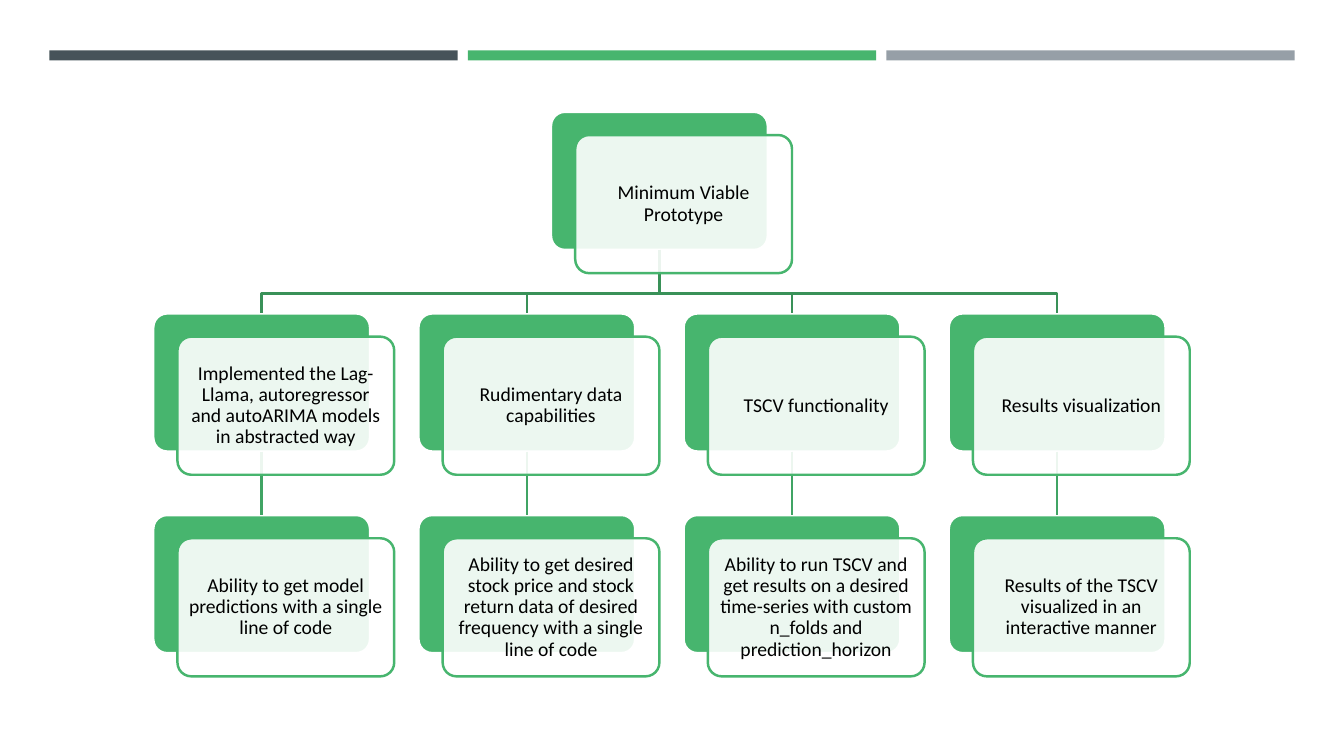
from pptx import Presentation, util as u
from pptx.dml.color import RGBColor
from pptx.enum import shapes, text
from pptx.oxml.ns import qn
from lxml import etree

GREEN, TRUNK, BRANCH = "47B56E", "399158", "40A464"
CARD_W, CARD_H = 2.15, 1.37
STEP_X, STEP_Y = 2.63, 2.0
FRONT_DX, FRONT_DY = 0.24, 0.23
BEND = 0.43

ROOT = "Minimum Viable Prototype"
FEATURES = [
    ("Implemented the Lag-Llama, autoregressor and autoARIMA models in abstracted way",
     "Ability to get model predictions with a single line of code"),
    ("Rudimentary data capabilities",
     "Ability to get desired stock price and stock return data of desired frequency "
     "with a single line of code"),
    ("TSCV functionality",
     "Ability to run TSCV and get results on a desired time-series with custom "
     "n_folds and prediction_horizon"),
    ("Results visualization",
     "Results of the TSCV visualized in an interactive manner"),
]


def color(value):
    return RGBColor.from_string(value)


def set_line(sp, value):
    sp.line.color.rgb = color(value)
    sp.line.width = u.Pt(1.75)


def add_box(s, kind, x, y, w, h, fill):
    sp = s.shapes.add_shape(kind, *map(u.Inches, (x, y, w, h)))
    sp.shadow.inherit = False
    sp.fill.solid()
    sp.fill.fore_color.rgb = color(fill)
    sp.line.fill.background()
    return sp


def add_card(s, x, y, fill, line):
    sp = add_box(s, shapes.MSO_SHAPE.ROUNDED_RECTANGLE, x, y, CARD_W, CARD_H, fill)
    sp.adjustments[0] = 0.1
    set_line(sp, line)
    return sp


def add_front_card(s, x, y, label):
    sp = add_card(s, x + FRONT_DX, y + FRONT_DY, "FFFFFF", GREEN)
    rgb = sp.fill._xPr.find(qn("a:solidFill"))[0]
    etree.SubElement(rgb, qn("a:alpha"), val="90000")
    tf = sp.text_frame
    tf.word_wrap = True
    tf.vertical_anchor = text.MSO_ANCHOR.MIDDLE
    for side in ("left", "top", "right", "bottom"):
        setattr(tf, f"margin_{side}", u.Inches(0.06))
    p = tf.paragraphs[0]
    p.alignment = text.PP_ALIGN.CENTER
    p.line_spacing = 0.9
    r = p.add_run()
    r.text = label
    for name, value in {"name": "Calibri", "size": u.Pt(14)}.items():
        setattr(r.font, name, value)
    r.font.color.rgb = color("000000")


def add_trunk(s, parent, child):
    """Elbow from the bottom of the parent to the top of the child."""
    x1, y1 = parent.left + parent.width // 2, parent.top + parent.height
    x2, y2 = child.left + child.width // 2, child.top
    bend = y1 + u.Inches(BEND)
    path_builder = s.shapes.build_freeform(x1, y1)
    path_builder.add_line_segments([(x1, bend), (x2, bend), (x2, y2)], close=False)
    sp = path_builder.convert_to_shape()
    sp.shadow.inherit = False
    sp.fill.background()
    set_line(sp, TRUNK)


def add_branch(s, parent, child):
    c = s.shapes.add_connector(shapes.MSO_CONNECTOR.STRAIGHT, 0, 0, 0, 0)
    c.begin_connect(parent, 2)
    c.end_connect(child, 0)
    set_line(c, BRANCH)
    etree.SubElement(c._element.spPr, qn("a:effectLst"))


def header_bars(s, x, y, w, h):
    gap = 0.1
    bar_w = (w - 2 * gap) / 3
    for i, fill in enumerate(("465359", GREEN, "969FA7")):
        add_box(s, shapes.MSO_SHAPE.RECTANGLE, x + i * (bar_w + gap), y, bar_w, h, fill)


def org_chart(s, x, y):
    # Cards as (column, row, label): the root sits centred over the columns
    cards = [((len(FEATURES) - 1) / 2, 0, ROOT)]
    cards += [(col, row, label) for col, pair in enumerate(FEATURES)
              for row, label in enumerate(pair, 1)]
    spots = [(x + col * STEP_X, y + row * STEP_Y, label) for col, row, label in cards]

    # Green back cards
    root, *backs = [add_card(s, cx, cy, GREEN, "FFFFFF") for cx, cy, _ in spots]

    # Links, which show faintly through the front cards
    for feature, detail in zip(backs[::2], backs[1::2]):
        add_trunk(s, root, feature)
        add_branch(s, feature, detail)

    # Translucent front cards with the labels
    for spot in spots:
        add_front_card(s, *spot)


def main():
    prs = Presentation()
    prs.slide_width, prs.slide_height = u.Inches(13.33), u.Inches(7.5)
    s = prs.slides.add_slide(prs.slide_layouts[6])
    header_bars(s, 0.49, 0.5, 12.35, 0.1)
    org_chart(s, 1.52, 1.11)
    prs.save("out.pptx")


if __name__ == "__main__":
    main()
